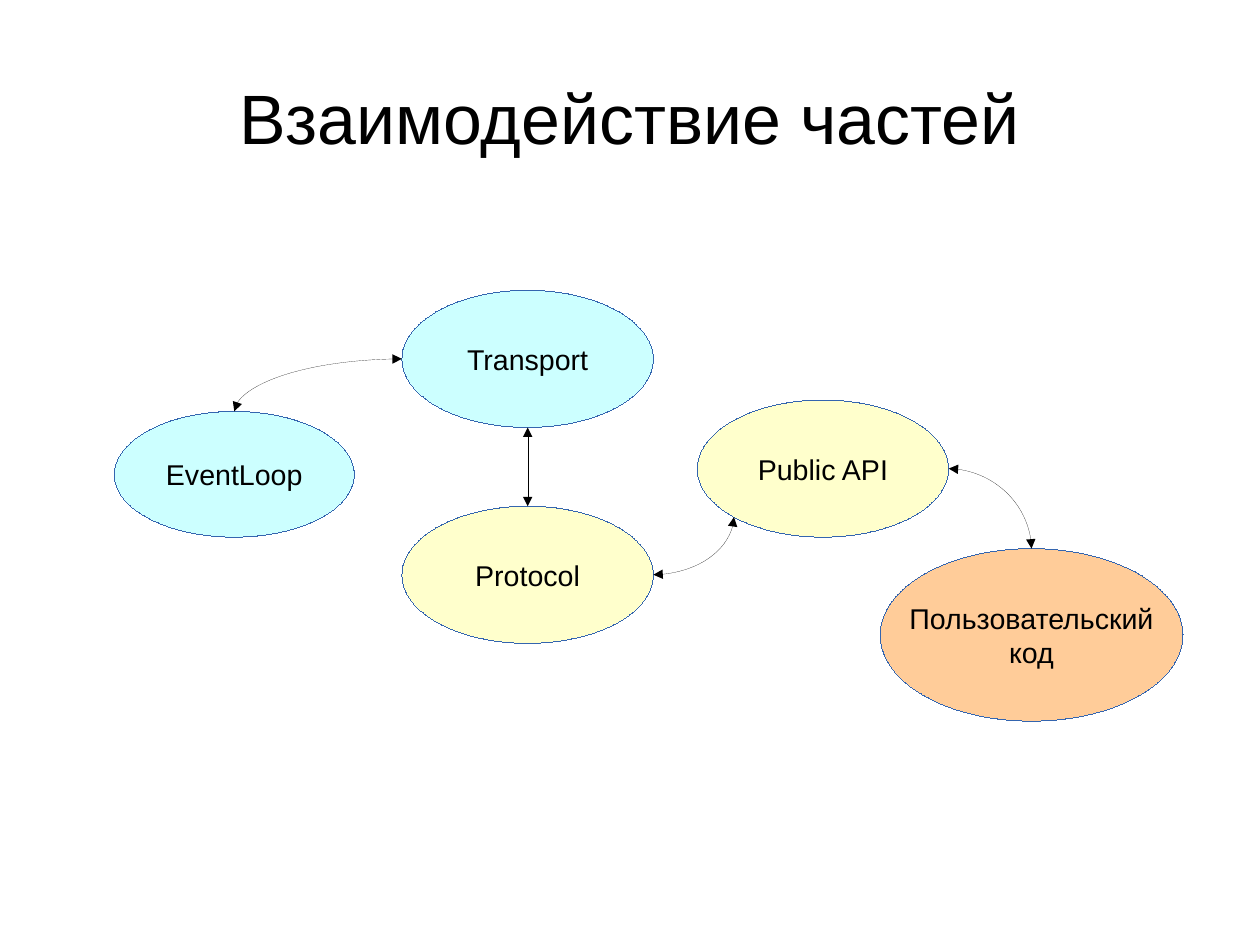
import math
from lxml import etree
from pptx import Presentation
from pptx import util as u
from pptx.dml import color
from pptx.enum import shapes, text
from pptx.oxml import ns

NODES = [
    ("EventLoop", (0, 76.3, 151.2, 79.2), "CCFFFF"),
    ("Transport", (181.2, 0, 158.4, 86.4), "CCFFFF"),
    ("Protocol", (181.2, 136, 158.4, 86.4), "FFFFCC"),
    ("Public API", (367.2, 69.1, 158.4, 86.4), "FFFFCC"),
    ("Пользовательский\nкод", (482.4, 162.7, 190.8, 108.7), "FFCC99"),
]
ANGLES = {"right": 0, "bottom": 90, "bottom left": 135, "left": 180, "top": 270}
LINKS = [
    (1, "left", 0, "top", True),
    (1, "bottom", 2, "top", False),
    (2, "right", 3, "bottom left", True),
    (3, "right", 4, "top", True),
]


def rgb(value):
    """Turn a hex string into a colour."""
    return color.RGBColor.from_string(value)


def write(tf, content, size):
    """Fill a text frame with centred black paragraphs."""
    tf.vertical_anchor = text.MSO_ANCHOR.MIDDLE
    for i, line in enumerate(content.split("\n")):
        p = tf.add_paragraph() if i else tf.paragraphs[0]
        p.alignment = text.PP_ALIGN.CENTER
        r = p.add_run()
        r.text = line
        r.font.size = u.Pt(size)
        r.font.name = "Arial"
        r.font.color.rgb = rgb("000000")


def hairline(sp, value):
    """Give a shape the thinnest line and return its XML element."""
    sp.line.color.rgb = rgb(value)
    ln = sp._element.spPr.find(ns.qn("a:ln"))
    ln.set("w", "0")
    return ln


def add_title(s, box, content):
    """Place the slide title in its box."""
    tf = s.shapes.add_textbox(*map(u.Pt, box)).text_frame
    tf.word_wrap = True
    tf.margin_left = tf.margin_right = tf.margin_top = tf.margin_bottom = 0
    write(tf, content, 44)


def add_node(s, box, label, fill):
    """Draw one labelled ellipse."""
    sp = s.shapes.add_shape(shapes.MSO_SHAPE.OVAL, *map(u.Pt, box))
    sp.shadow.inherit = False
    sp.fill.solid()
    sp.fill.fore_color.rgb = rgb(fill)
    hairline(sp, "3465AF")
    sp.text_frame.word_wrap = False
    write(sp.text_frame, label, 18)


def rim(box, side):
    """Return the point of an ellipse's outline on the named side."""
    x, y, w, h = box
    a = math.radians(ANGLES[side])
    return u.Pt(x + w / 2 * (1 + math.cos(a))), u.Pt(y + h / 2 * (1 + math.sin(a)))


def add_link(s, start, end, curved):
    """Draw a two-headed arrow, leaving level and arriving upright if curved."""
    kind = shapes.MSO_CONNECTOR.CURVE if curved else shapes.MSO_CONNECTOR.STRAIGHT
    cx = s.shapes.add_connector(kind, *start, *end)
    ln = hairline(cx, "000000")
    for tag in ("a:headEnd", "a:tailEnd"):
        etree.SubElement(ln, ns.qn(tag), type="triangle")
    sp_pr = cx._element.spPr
    if curved:
        sp_pr.find(ns.qn("a:prstGeom")).set("prst", "curvedConnector2")
    etree.SubElement(sp_pr, ns.qn("a:effectLst"))


def add_diagram(s, box):
    """Draw the parts and the links between them inside the box."""
    left, top = box[:2]
    places = [(left + x, top + y, w, h) for _, (x, y, w, h), _ in NODES]
    for (label, _, fill), place in zip(NODES, places):
        add_node(s, place, label, fill)
    for a, a_side, b, b_side, curved in LINKS:
        add_link(s, rim(places[a], a_side), rim(places[b], b_side), curved)


def main():
    """Build and save the slide."""
    prs = Presentation()
    prs.slide_width, prs.slide_height = u.Pt(793.7), u.Pt(595.28)
    s = prs.slides.add_slide(prs.slide_layouts[6])
    add_title(s, (39.7, 23.8, 714.2, 99.4), "Взаимодействие частей")
    add_diagram(s, (72, 182.9, 673.2, 271.4))
    prs.save("out.pptx")


if __name__ == "__main__":
    main()
